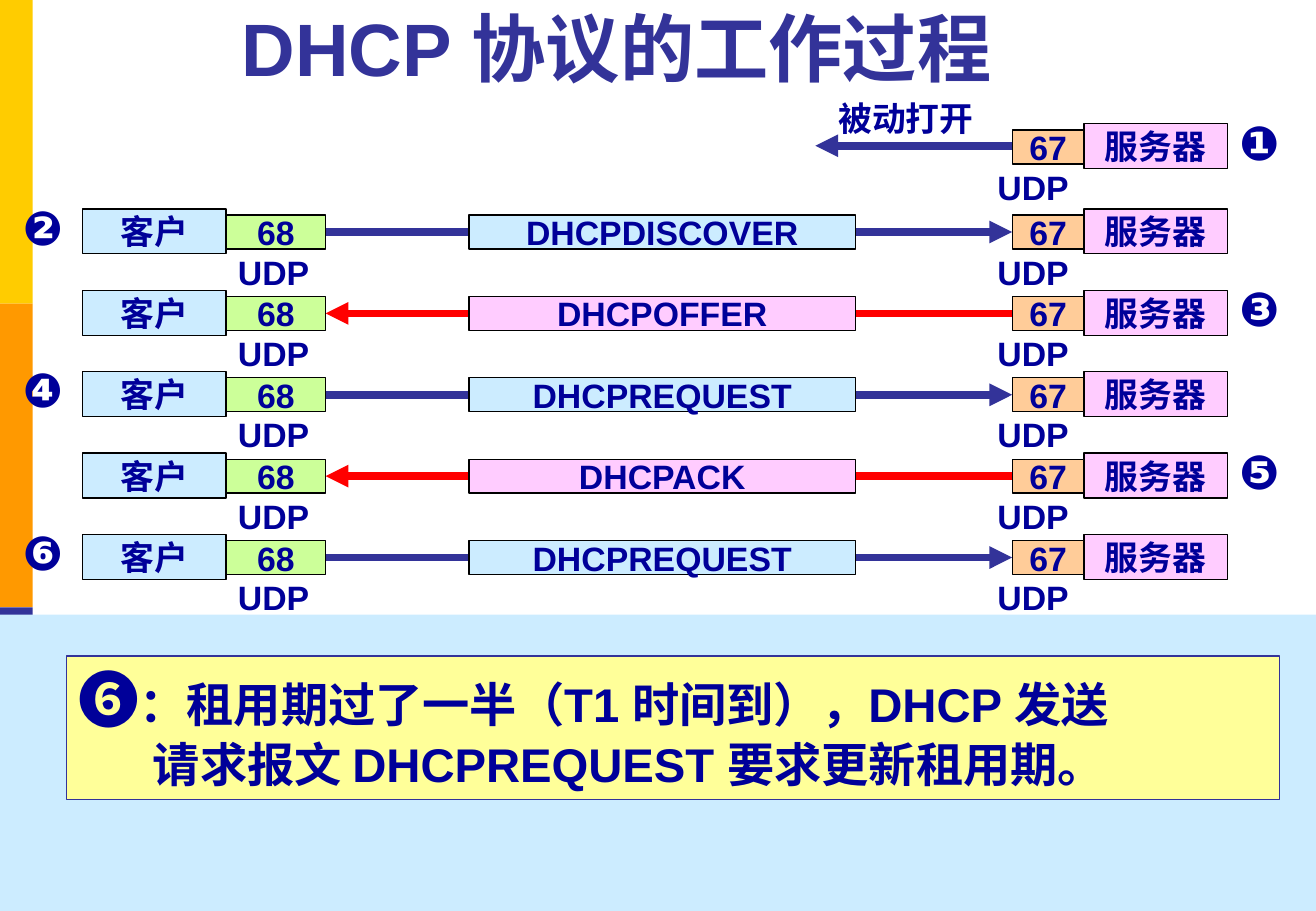
from dataclasses import dataclass

from lxml.etree import SubElement
from pptx import Presentation
from pptx.dml.color import RGBColor
from pptx.enum.lang import MSO_LANGUAGE_ID as Lang
from pptx.enum.shapes import MSO_CONNECTOR as Connector, MSO_SHAPE as Shape
from pptx.enum.text import MSO_ANCHOR as Anchor, MSO_AUTO_SIZE as AutoSize, PP_ALIGN as Align
from pptx.oxml.ns import qn
from pptx.util import Pt

# Content
TITLE = "DHCP 协议的工作过程 "
CLIENT, SERVER, TRANSPORT = "客户", "服务器", "UDP"
CLIENT_PORT, SERVER_PORT = "68", "67"
PASSIVE_STEP, PASSIVE_OPEN = "❶", "被动打开"
EXCHANGES = [  # step, message, sender
    ("❷", "DHCPDISCOVER", CLIENT),
    ("❸", "DHCPOFFER", SERVER),
    ("❹", "DHCPREQUEST", CLIENT),
    ("❺", "DHCPACK", SERVER),
    ("❻", "DHCPREQUEST", CLIENT),
]
NOTE_STEP = "❻"
NOTE_LINES = [
    "：租用期过了一半（T1 时间到），DHCP 发送",
    "请求报文 DHCPREQUEST 要求更新租用期。",
]


@dataclass(frozen=True)
class Theme:
    font: str = "Arial"
    text: str = "000099"
    accent: str = "333399"
    reply: str = "FF0000"
    border: str = "000000"
    blue: str = "CCECFF"
    pink: str = "FFCCFF"
    orange: str = "FFCC99"
    green: str = "CCFF99"
    yellow: str = "FFFF99"
    strips: tuple = ("FFCC00", "FF9900", "333399")
    title_size: int = 44
    note_step_size: int = 36
    note_size: int = 28
    step_size: int = 28
    label_size: int = 20
    arrow_width: float = 4.5
    border_width: float = 0.75


THEME = Theme()

# Layout, 100 px to the inch
EMU_PER_PX = 9144
SLIDE_W, SLIDE_H = 1083, 750
STRIP_W, STRIP_H = 27, 250
PASSIVE_TOP, FIRST_TOP, ROW_PITCH = 102, 172, 67
HOST_W, HOST_H = 118, 37
PORT_DROP, PORT_H = 5, 28
ARROW_DROP = PORT_DROP + PORT_H // 2
CLIENT_X, SERVER_X = 68, 892
CLIENT_PORT_X, CLIENT_PORT_W = CLIENT_X + HOST_W, 82
SERVER_PORT_W = 59
SERVER_PORT_X = SERVER_X - SERVER_PORT_W
CLIENT_END, SERVER_END = CLIENT_PORT_X + CLIENT_PORT_W, SERVER_PORT_X
MESSAGE_X, MESSAGE_W = 386, 318
CLIENT_UDP_X, SERVER_UDP_X, UDP_DROP = 186, 811, 30
CLIENT_STEP_X, SERVER_STEP_X, STEP_RISE = 9, SERVER_X + HOST_W, 14
PANEL_TOP = 506
NOTE_INDENT = 61


def px(*lengths):
    return [round(length * EMU_PER_PX) for length in lengths]


def rgb(code):
    return RGBColor.from_string(code)


def write(paragraph, text, size=THEME.label_size, color=THEME.text, align=None):
    """Append one bold run to the paragraph."""
    if align is not None:
        paragraph.alignment = align
    run = paragraph.add_run()
    run.text = text
    font = run.font
    font.name, font.size, font.bold = THEME.font, Pt(size), True
    font.color.rgb = rgb(color)
    font.language_id = Lang.SIMPLIFIED_CHINESE


def add_box(slide, at, fill, border=None, text=None):
    box = slide.shapes.add_shape(Shape.RECTANGLE, *px(*at))
    box.shadow.inherit = False
    box.fill.solid()
    box.fill.fore_color.rgb = rgb(fill)
    if border:
        box.line.color.rgb = rgb(border)
        box.line.width = Pt(THEME.border_width)
    else:
        box.line.fill.background()
    if text:
        frame = box.text_frame
        frame.word_wrap = False
        frame.vertical_anchor = Anchor.MIDDLE
        write(frame.paragraphs[0], text, align=Align.CENTER)
    return box


def add_label(slide, at, text, size=THEME.label_size):
    frame = slide.shapes.add_textbox(*px(*at)).text_frame
    frame.word_wrap = False
    frame.auto_size = AutoSize.SHAPE_TO_FIT_TEXT
    write(frame.paragraphs[0], text, size=size, align=Align.LEFT)


def add_arrow(slide, start, end, y, color):
    arrow = slide.shapes.add_connector(Connector.STRAIGHT, *px(start, y, end, y))
    arrow.line.color.rgb = rgb(color)
    arrow.line.width = Pt(THEME.arrow_width)
    properties = arrow._element.spPr
    SubElement(properties.find(qn("a:ln")), qn("a:tailEnd"), type="triangle")
    SubElement(properties, qn("a:effectLst"))


def add_step(slide, x, top, step):
    add_label(slide, (x, top - STEP_RISE, 55, 57), step, size=THEME.step_size)


def add_endpoint(slide, host, top):
    """Draw a host with its port and transport label."""
    if host == CLIENT:
        host_x, host_fill, port_fill = CLIENT_X, THEME.blue, THEME.green
        port, port_x, port_w, udp_x = CLIENT_PORT, CLIENT_PORT_X, CLIENT_PORT_W, CLIENT_UDP_X
    else:
        host_x, host_fill, port_fill = SERVER_X, THEME.pink, THEME.orange
        port, port_x, port_w, udp_x = SERVER_PORT, SERVER_PORT_X, SERVER_PORT_W, SERVER_UDP_X
    add_box(slide, (host_x, top, HOST_W, HOST_H), host_fill, THEME.border, host)
    add_box(slide, (port_x, top + PORT_DROP, port_w, PORT_H), port_fill, THEME.border, port)
    add_label(slide, (udp_x, top + UDP_DROP, 80, 44), TRANSPORT)


def add_exchange(slide, top, step, message, sender):
    if sender == CLIENT:
        start, end, step_x = CLIENT_END, SERVER_END, CLIENT_STEP_X
        line_color, fill = THEME.accent, THEME.blue
    else:
        start, end, step_x = SERVER_END, CLIENT_END, SERVER_STEP_X
        line_color, fill = THEME.reply, THEME.pink
    add_arrow(slide, start, end, top + ARROW_DROP, line_color)
    add_box(slide, (MESSAGE_X, top + PORT_DROP, MESSAGE_W, PORT_H), fill, THEME.border, message)
    for host in (CLIENT, SERVER):
        add_endpoint(slide, host, top)
    add_step(slide, step_x, top, step)


def add_title(slide):
    title = slide.shapes.title
    title.left, title.top, title.width, title.height = px(53, 21, 923, 59)
    frame = title.text_frame
    frame.auto_size = AutoSize.NONE
    frame.vertical_anchor = Anchor.BOTTOM
    write(frame.paragraphs[0], TITLE, size=THEME.title_size, color=THEME.accent,
          align=Align.CENTER)


def add_note(slide):
    frame = add_box(slide, (55, 540, 998, 118), THEME.yellow, THEME.accent).text_frame
    frame.word_wrap = True
    frame.vertical_anchor = Anchor.TOP
    first, second = frame.paragraphs[0], frame.add_paragraph()
    write(first, NOTE_STEP, size=THEME.note_step_size)
    for paragraph, line in zip((first, second), NOTE_LINES):
        write(paragraph, line, size=THEME.note_size, align=Align.JUSTIFY)
    second._p.get_or_add_pPr().set("marL", str(px(NOTE_INDENT)[0]))


def main():
    deck = Presentation()
    deck.slide_width, deck.slide_height = px(SLIDE_W, SLIDE_H)
    slide = deck.slides.add_slide(deck.slide_layouts[5])
    for index, color in enumerate(THEME.strips):
        add_box(slide, (0, index * STRIP_H, STRIP_W, STRIP_H), color)
    add_title(slide)

    add_arrow(slide, SERVER_END, 671, PASSIVE_TOP + ARROW_DROP - 1, THEME.accent)
    add_endpoint(slide, SERVER, PASSIVE_TOP)
    add_label(slide, (680, 76, 132, 44), PASSIVE_OPEN)
    add_step(slide, SERVER_STEP_X, PASSIVE_TOP, PASSIVE_STEP)
    for row, exchange in enumerate(EXCHANGES):
        add_exchange(slide, FIRST_TOP + row * ROW_PITCH, *exchange)

    add_box(slide, (0, PANEL_TOP, SLIDE_W, SLIDE_H - PANEL_TOP), THEME.blue)
    add_note(slide)
    deck.save("out.pptx")


if __name__ == "__main__":
    main()
